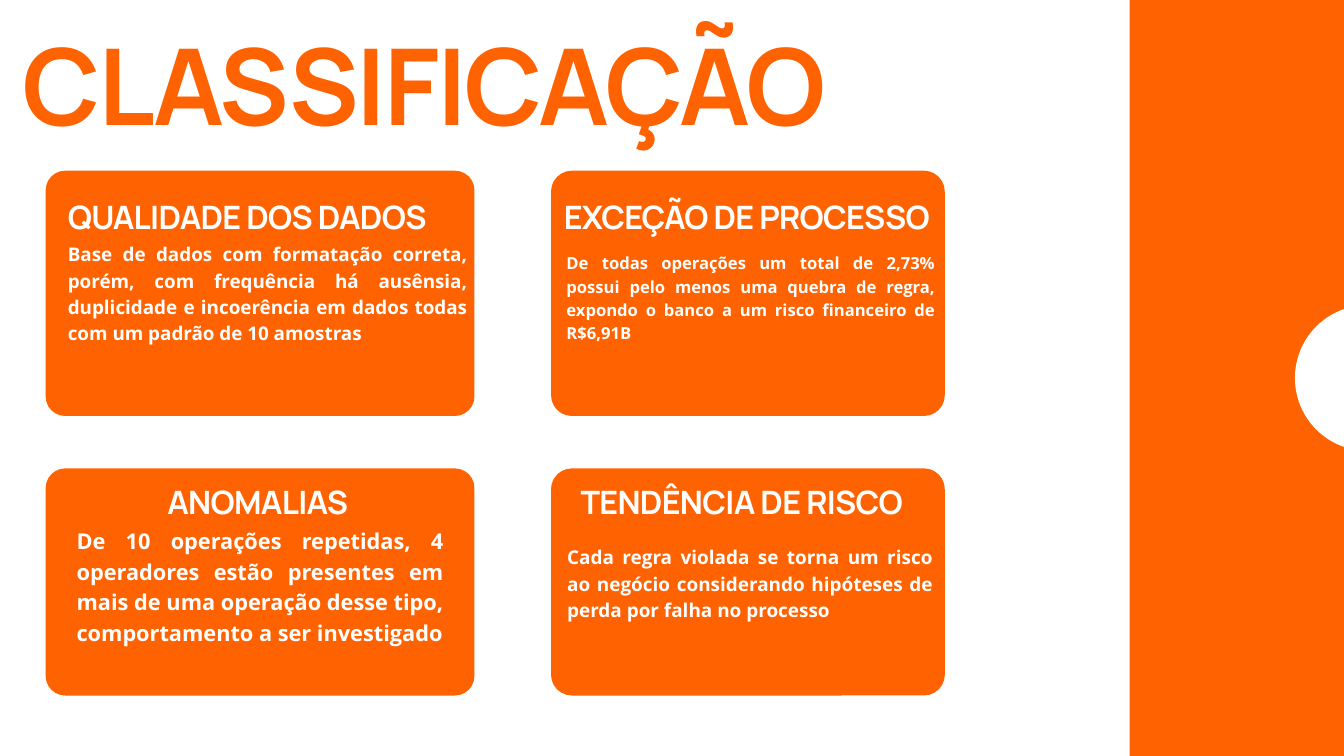
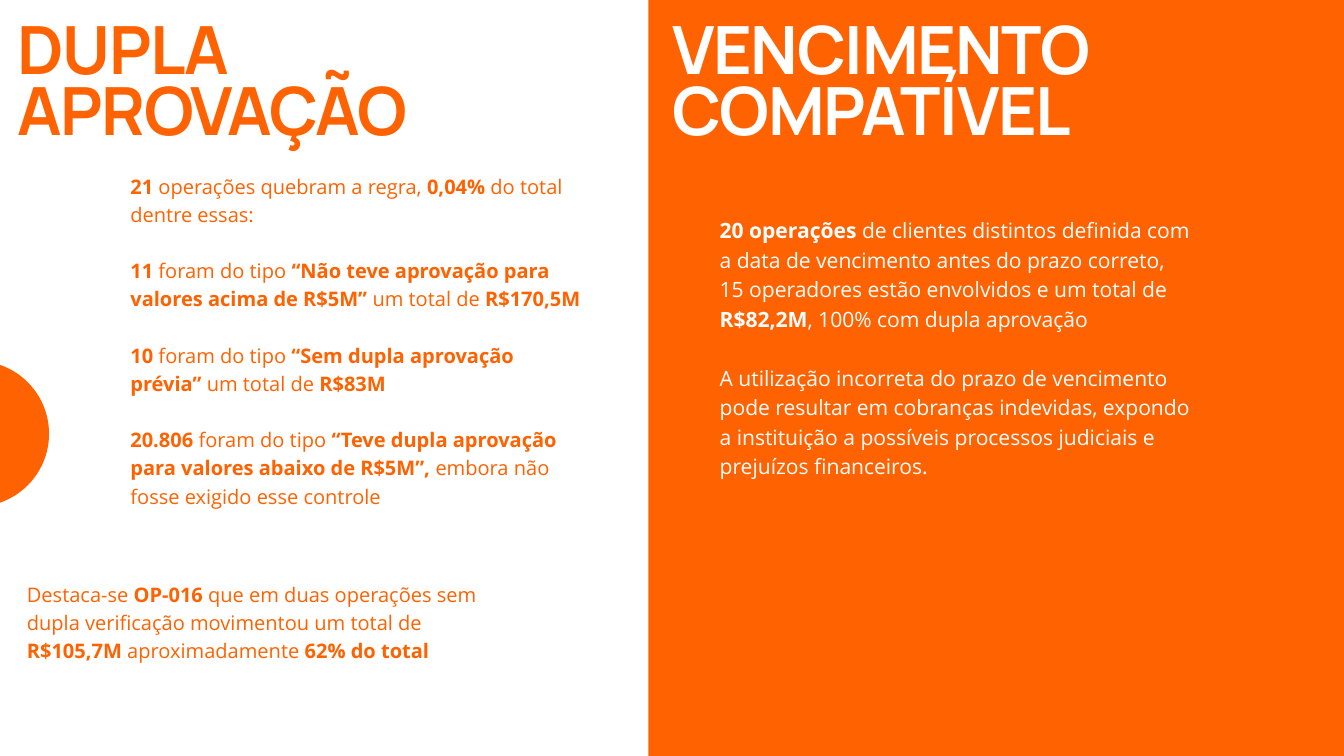
import pptx
import pptx.util
import pptx.dml.color
import pptx.enum.shapes
import pptx.enum.text

Inches = pptx.util.Inches
Pt = pptx.util.Pt
SHAPE = pptx.enum.shapes.MSO_SHAPE
ALIGN = pptx.enum.text.PP_ALIGN

COLORS = {"orange": "FF6200", "white": "FFFFFF"}
HEADING_FONT = "Manrope"
BODY_FONT = "Open Sans"
CIRCLE_SIZE = 2.17
BAND_HEIGHT = 12.98
CARD_HEADING_SIZE = 34.5

# Cards: column (left, width, corner radius) and row (top, height, heading top)
CARD_COLUMNS = [(0.68, 6.38, 0.29), (8.2, 5.86, 0.31)]
CARD_ROWS = [(2.54, 3.65, 3.07), (6.97, 3.38, 7.31)]

# Heading, heading left and width, body box, body size, body line spacing, body
CARDS = [
    ("QUALIDADE DOS DADOS", 1.01, 5.71, (1.01, 3.56, 5.94, 2.35), 20.2, 28.2,
     "Base de dados com formatação correta, porém, com frequência há ausênsia, "
     "duplicidade e incoerência em dados todas com um padrão de 10 amostras"),
    ("EXCEÇÃO DE PROCESSO", 8.39, 5.48, (8.43, 3.72, 5.48, 2.05), 17.8, 25,
     "De todas operações um total de 2,73% possui pelo menos uma quebra de regra, "
     "expondo o banco a um risco financeiro de R$6,91B"),
    ("ANOMALIAS", 2.49, 2.75, (1.14, 7.79, 5.46, 2.25), 23.3, 32.7,
     "De 10 operações repetidas, 4 operadores estão presentes em mais de uma "
     "operação desse tipo, comportamento a ser investigado"),
    ("TENDÊNCIA DE RISCO", 8.64, 5.05, (8.44, 8.06, 5.44, 1.18), 20.3, 28.5,
     "Cada regra violada se torna um risco ao negócio considerando hipóteses de "
     "perda por falha no processo"),
]

# Body copy; ** switches bold on and off
APPROVAL = [
    "**21 **operações quebram a regra, **0,04%** do total dentre essas:",
    "**11** foram do tipo **“Não teve aprovação para valores acima de R$5M”** "
    "um total de **R$170,5M**",
    "**10 **foram do tipo** “Sem dupla aprovação prévia” **um total de **R$83M**",
    "**20.806 **foram do tipo** “Teve dupla aprovação para valores abaixo de "
    "R$5M”, **embora não fosse exigido esse controle",
]
HIGHLIGHT = [
    "Destaca-se **OP-016** que em duas operações sem dupla verificação movimentou "
    "um total de **R$105,7M** aproximadamente **62% do total**",
]
DUE_DATE = [
    "**20 operações** de clientes distintos definida com a data de vencimento antes "
    "do prazo correto, 15 operadores estão envolvidos e um total de **R$82,2M**, "
    "100% com dupla aprovação",
    "A utilização incorreta do prazo de vencimento pode resultar em cobranças "
    "indevidas, expondo a instituição a possíveis processos judiciais e prejuízos "
    "financeiros.",
]


def rgb(color):
    return pptx.dml.color.RGBColor.from_string(COLORS[color])


def add_filled(slide, shape, box, color):
    sp = slide.shapes.add_shape(shape, *map(Inches, box))
    sp.shadow.inherit = False
    sp.fill.solid()
    sp.fill.fore_color.rgb = rgb(color)
    sp.line.fill.background()
    return sp


def add_band(slide, left, top, width):
    add_filled(slide, SHAPE.RECTANGLE, (left, top, width, BAND_HEIGHT), "orange")


def add_circle(slide, left, top, color):
    add_filled(slide, SHAPE.OVAL, (left, top, CIRCLE_SIZE, CIRCLE_SIZE), color)


def add_text(slide, box, paragraphs, font, size, spacing, color,
             align=ALIGN.LEFT, tracking=0):
    """Add a text box; paragraphs are one blank line apart."""
    sp = slide.shapes.add_textbox(*map(Inches, box))
    tf = sp.text_frame
    tf.word_wrap = True
    tf.auto_size = pptx.enum.text.MSO_AUTO_SIZE.SHAPE_TO_FIT_TEXT
    tf.margin_left = tf.margin_right = tf.margin_top = tf.margin_bottom = 0
    for i, text in enumerate(paragraphs):
        p = tf.add_paragraph() if i else tf.paragraphs[0]
        p.alignment = align
        p.line_spacing = Pt(spacing)
        if i:
            p.space_before = Pt(spacing)
        for j, part in enumerate(text.split("**")):
            if not part:
                continue
            r = p.add_run()
            r.text = part
            r.font.name = font
            r.font.size = Pt(size)
            r.font.bold = j % 2 == 1
            r.font.color.rgb = rgb(color)
            if tracking:
                r._r.get_or_add_rPr().set("spc", str(round(tracking * 100)))


def add_heading(slide, box, text, size, color):
    """Headings share tight leading and tracking in proportion to their size."""
    add_text(slide, box, [f"**{text}**"], HEADING_FONT, size,
             round(size * 0.93, 1), color, tracking=round(-size * 0.02, 1))


def add_card(slide, column, row, card):
    left, width, radius = column
    top, height, heading_top = row
    heading, heading_left, heading_width, body_box, size, spacing, body = card
    sp = add_filled(slide, SHAPE.ROUNDED_RECTANGLE, (left, top, width, height),
                    "orange")
    sp.adjustments[0] = radius / height
    add_heading(slide, (heading_left, heading_top, heading_width, 0.49), heading,
                CARD_HEADING_SIZE, "white")
    add_text(slide, body_box, [f"**{body}**"], BODY_FONT, size, spacing, "white",
             ALIGN.JUSTIFY)


def build_classification(slide):
    add_band(slide, 16.81, -1.22, 4.12)
    add_circle(slide, 19.27, 4.54, "white")
    add_heading(slide, (0.34, 0.71, 12.2, 1.58), "CLASSIFICAÇÃO", 113.5, "orange")
    for i, card in enumerate(CARDS):
        add_card(slide, CARD_COLUMNS[i % 2], CARD_ROWS[i // 2], card)


def build_rules(slide):
    add_band(slide, 9.65, -1.09, 11.13)
    add_circle(slide, -1.44, 5.37, "orange")
    # Left half: double approval
    add_heading(slide, (0.26, 0.38, 6.15, 1.92), "DUPLA APROVAÇÃO", 71.2, "orange")
    add_text(slide, (1.94, 2.53, 6.71, 5.4), APPROVAL, BODY_FONT, 21.5, 30.2,
             "orange")
    add_text(slide, (0.4, 8.6, 6.71, 1.23), HIGHLIGHT, BODY_FONT, 21.5, 30.2,
             "orange")
    # Right half: due date
    add_heading(slide, (10, 0.38, 6.48, 1.92), "VENCIMENTO COMPATÍVEL", 71.2, "white")
    add_text(slide, (10.71, 3.18, 7.03, 3.92), DUE_DATE, BODY_FONT, 22.6, 31.6,
             "white")


def main():
    prs = pptx.Presentation()
    prs.slide_width = Inches(20)
    prs.slide_height = Inches(11.25)
    for build in (build_classification, build_rules):
        build(prs.slides.add_slide(prs.slide_layouts[6]))
    prs.save("out.pptx")


if __name__ == "__main__":
    main()
